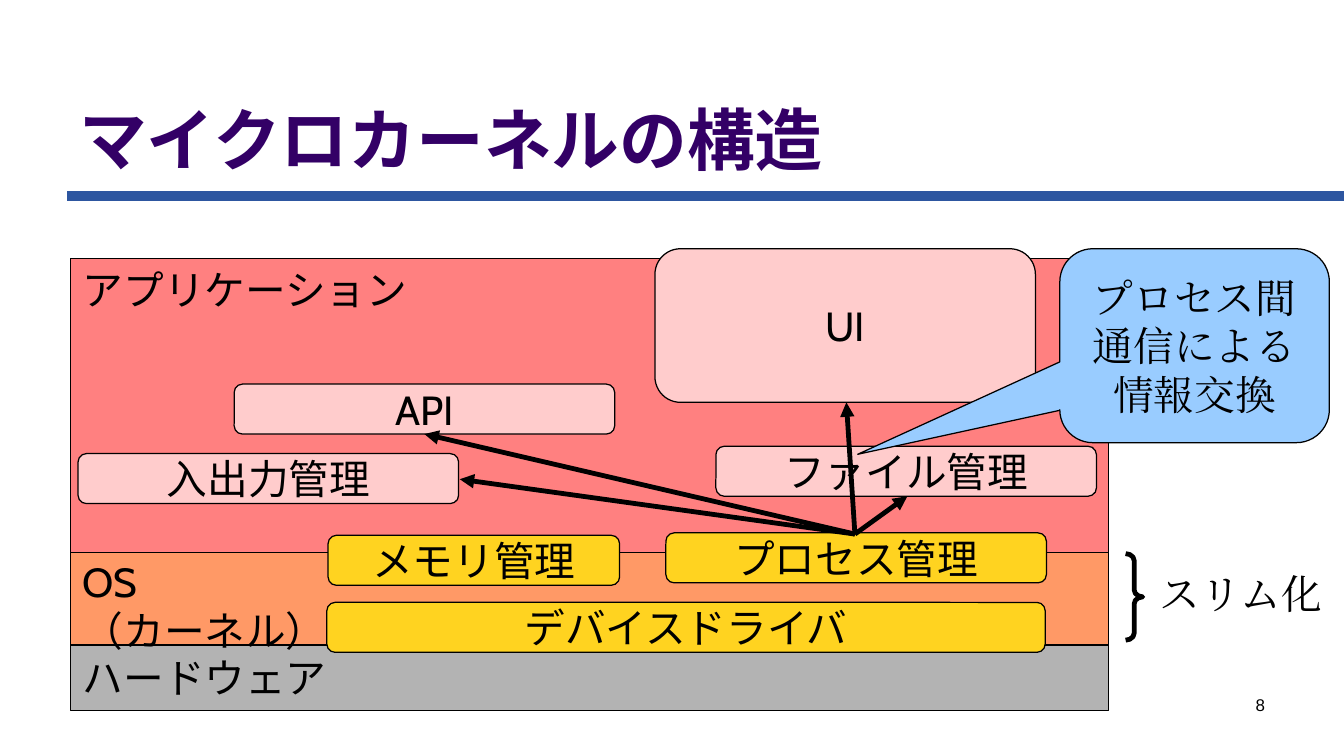
from lxml import etree
from pptx import Presentation
from pptx.dml.color import RGBColor as Rgb
from pptx.enum.shapes import MSO_CONNECTOR as Conn, MSO_SHAPE as Kind
from pptx.enum.text import MSO_ANCHOR as Anchor, MSO_AUTO_SIZE as Fit, PP_ALIGN as Align
from pptx.oxml.ns import qn
from pptx.util import Inches, Pt

INK = {
    "title": "330066", "rule": "2D56A0", "text": "000000",
    "app": "FF8080", "os": "FF9966", "hard": "B3B3B3",
    "user": "FFCCCC", "core": "FFD320", "note": "99CCFF",
}
GOTHIC, SANS, SERIF = "Noto Sans CJK JP", "Cabin", "Times New Roman"


def color(name):
    return Rgb.from_string(INK[name])


def write(shape, text, face, size=24, align=Align.LEFT, anchor=Anchor.TOP,
          ink="text", bold=False, wrap=True):
    frame = shape.text_frame
    frame.text = text
    frame.word_wrap = wrap
    frame.auto_size = Fit.NONE
    frame.vertical_anchor = anchor
    for para in frame.paragraphs:
        para.alignment = align
        for run in para.runs:
            font = run.font
            font.name, font.size, font.bold = face, Pt(size), bold
            font.color.rgb = color(ink)
            # Japanese glyphs take the East Asian typeface
            east = etree.SubElement(run._r.get_or_add_rPr(), qn("a:ea"))
            east.set("typeface", face)


def add_box(slide, kind, area, fill, width=0.75):
    box = slide.shapes.add_shape(kind, *map(Inches, area))
    box.shadow.inherit = False
    if fill:
        box.fill.solid()
        box.fill.fore_color.rgb = color(fill)
    else:
        box.fill.background()
    box.line.color.rgb = color("text")
    box.line.width = Pt(width)
    return box


def add_layer(slide, text, top, height, fill, face, anchor=Anchor.TOP):
    box = add_box(slide, Kind.RECTANGLE, (0.58, top, 8.51, height), fill)
    write(box, text, face, anchor=anchor)


def add_part(slide, text, left, top, fill, width=3.12, height=0.41):
    box = add_box(slide, Kind.ROUNDED_RECTANGLE, (left, top, width, height), fill)
    write(box, text, SANS, align=Align.CENTER, anchor=Anchor.MIDDLE)


def add_line(slide, start, end, ink="text", width=2.83, arrow=True):
    line = slide.shapes.add_connector(Conn.STRAIGHT, *map(Inches, start + end))
    line.line.color.rgb = color(ink)
    line.line.width = Pt(width)
    if arrow:
        etree.SubElement(line.line._get_or_add_ln(), qn("a:tailEnd"), type="triangle")
    etree.SubElement(line._element.spPr, qn("a:effectLst"))


def add_label(slide, text, area, face, **style):
    box = slide.shapes.add_textbox(*map(Inches, area))
    write(box, text, face, **style)


def add_title(slide, text):
    title = slide.shapes.title
    title.left, title.top, title.width, title.height = map(
        Inches, (0.55, 0.35, 9.92, 1.17))
    write(title, text, GOTHIC, size=40, anchor=Anchor.BOTTOM, ink="title", bold=True)


def main():
    deck = Presentation()
    deck.slide_width, deck.slide_height = Inches(11.02), Inches(6.2)
    slide = deck.slides.add_slide(deck.slide_layouts[5])

    # Heading
    add_line(slide, (0.55, 1.61), (11.02, 1.61), "rule", 5.67, arrow=False)
    add_title(slide, "マイクロカーネルの構造")

    # Layers and their parts, back to front
    add_layer(slide, "ハードウェア", 5.28, 0.55, "hard", GOTHIC, Anchor.MIDDLE)
    add_layer(slide, "OS\n（カーネル）", 4.52, 0.77, "os", SANS)
    add_part(slide, "デバイスドライバ", 2.68, 4.94, "core", width=5.89)
    add_layer(slide, "アプリケーション", 2.12, 2.41, "app", GOTHIC)
    add_part(slide, "API", 1.92, 3.15, "user")
    add_part(slide, "UI", 5.37, 2.04, "user", height=1.26)
    add_part(slide, "入出力管理", 0.64, 3.72, "user")
    add_part(slide, "ファイル管理", 5.87, 3.66, "user")
    add_part(slide, "メモリ管理", 2.69, 4.39, "core", width=2.39)
    add_part(slide, "プロセス管理", 5.46, 4.37, "core")

    # Messages from process management
    for end in ((7.44, 4.07), (3.48, 3.56), (3.77, 3.93), (6.94, 3.3)):
        add_line(slide, (7.01, 4.38), end)

    # Brace beside the kernel
    brace = add_box(slide, Kind.RIGHT_BRACE, (9.23, 4.54, 0.14, 0.71), None, 2.83)
    brace.adjustments[0] = 0.41
    add_label(slide, "スリム化", (9.41, 4.62, 1.53, 0.5), SERIF, wrap=False)

    # Callout
    note = add_box(slide, Kind.ROUNDED_RECTANGULAR_CALLOUT,
                   (8.69, 2.04, 2.21, 1.59), "note", 0)
    for spot, value in enumerate((-1.25, 0.56, 0.17)):
        note.adjustments[spot] = value
    write(note, "プロセス間\n通信による\n情報交換", SERIF,
          align=Align.CENTER, anchor=Anchor.MIDDLE)

    # Page number
    add_label(slide, "8", (7.9, 5.65, 2.57, 0.41), "Arial", size=10, align=Align.RIGHT)

    deck.save("out.pptx")


if __name__ == "__main__":
    main()
